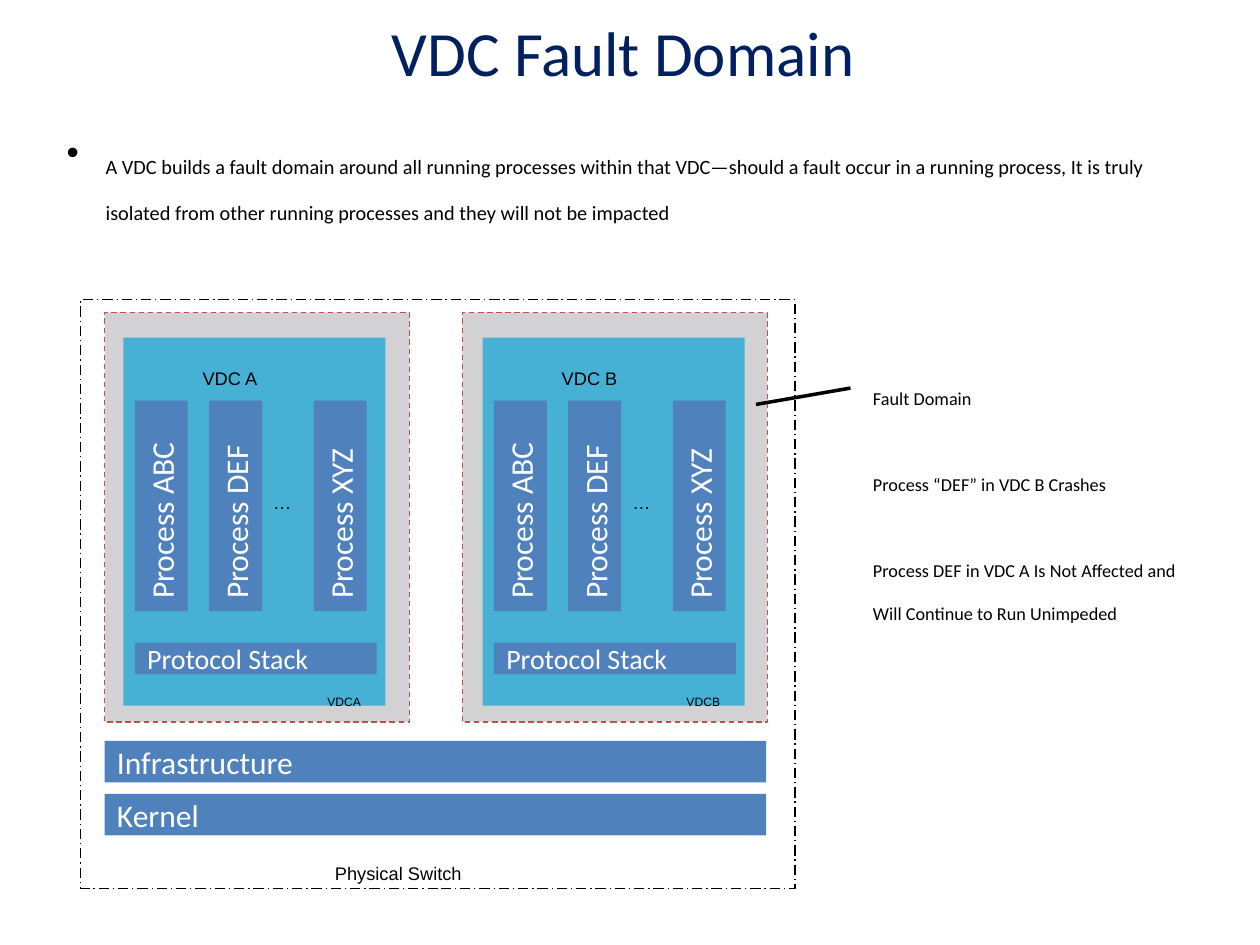
"""Build the VDC Fault Domain slide."""
from lxml import etree
from pptx import Presentation
from pptx.dml.color import RGBColor
from pptx.enum.dml import MSO_LINE
from pptx.enum.shapes import MSO_CONNECTOR, MSO_SHAPE
from pptx.enum.text import MSO_ANCHOR, PP_ALIGN
from pptx.oxml.ns import qn
from pptx.util import Inches, Pt

RECT, STRAIGHT = MSO_SHAPE.RECTANGLE, MSO_CONNECTOR.STRAIGHT
DASH, LONG_DASH_DOT = MSO_LINE.DASH, MSO_LINE.LONG_DASH_DOT
TOP, MIDDLE = MSO_ANCHOR.TOP, MSO_ANCHOR.MIDDLE
LEFT, CENTER = PP_ALIGN.LEFT, PP_ALIGN.CENTER
NAVY = RGBColor(0x00, 0x20, 0x60)
BLACK = RGBColor(0, 0, 0)
WHITE = RGBColor(0xFF, 0xFF, 0xFF)
BLUE = RGBColor(0x4F, 0x81, 0xBD)
CYAN = RGBColor(0x47, 0xB0, 0xD5)
GRAY = RGBColor(0xD2, 0xD2, 0xD4)
RED = RGBColor(0xC0, 0x50, 0x4D)

TITLE = "VDC Fault Domain"
BODY = ("A VDC builds a fault domain around all running processes within that VDC—"
        "should a fault occur in a running process, It is truly isolated from other "
        "running processes and they will not be impacted")
NOTES = ["Fault Domain", "Process “DEF” in VDC B Crashes",
         "Process DEF in VDC A Is Not Affected and Will Continue to Run Unimpeded"]
VDCS = [("A", 0.83, 0.98), ("B", 3.67, 3.83)]
PROCESSES = [("Process ABC", 0.09), ("Process DEF", 0.68), ("Process XYZ", 1.51)]
LAYERS = ["Infrastructure", "Kernel"]
PROCESS_LENGTH, PROCESS_THICKNESS, PROCESS_TOP = 1.67, 0.42, 3.18
LAYER_TOP, LAYER_PITCH = 5.88, 0.42
SUBSCRIPT = "-25000"
NOTE_GAP = 24.6

prs = Presentation()
prs.slide_width, prs.slide_height = Inches(10), Inches(7.5)
slide = prs.slides.add_slide(prs.slide_layouts[6])


def write(s, lines, size, font="Calibri", color=BLACK, anchor=TOP, align=LEFT, lowered=False):
    tf = s.text_frame
    tf.text = "\n".join(lines)
    tf.word_wrap = True
    tf.vertical_anchor = anchor
    for p in tf.paragraphs:
        p.alignment = align
        for r in p.runs:
            r.font.size, r.font.name = Pt(size), font
            r.font.color.rgb = color
            if lowered:
                r._r.get_or_add_rPr().set("baseline", SUBSCRIPT)
    return tf


def add_box(x, y, w, h, fill=None, line=None, dash=None):
    s = slide.shapes.add_shape(RECT, Inches(x), Inches(y), Inches(w), Inches(h))
    s.shadow.inherit = False
    if fill is None:
        s.fill.background()
    else:
        s.fill.solid()
        s.fill.fore_color.rgb = fill
    if line is None:
        s.line.fill.background()
    else:
        s.line.color.rgb = line
        s.line.width = Pt(0.75)
        s.line.dash_style = dash
    return s


def add_bar(text, x, y, w, h, size=18):
    s = add_box(x, y, w, h, BLUE)
    write(s, [text], size, color=WHITE, anchor=MIDDLE)
    return s


def add_text(lines, x, y, w, h, size, **style):
    s = slide.shapes.add_textbox(Inches(x), Inches(y), Inches(w), Inches(h))
    return write(s, lines, size, **style)


def add_label(text, x, y, w, h=0.4, size=18):
    add_text([text], x, y, w, h, size, font="Arial", lowered=True)


def add_vdc(name, x):
    add_box(x, 2.68, 2.08, 2.92, CYAN)
    add_bar("Protocol Stack", x + 0.09, 5.1, 1.92, 0.25, 16)
    add_label(f"VDC{name}", x + 1.52, 5.35, 0.66, 0.3, 12)
    add_label(f"VDC {name}", x + 0.53, 2.7, 0.97)
    inset = (PROCESS_LENGTH - PROCESS_THICKNESS) / 2
    for text, offset in PROCESSES:
        s = add_bar(text, x + offset - inset, PROCESS_TOP + inset,
                    PROCESS_LENGTH, PROCESS_THICKNESS)
        s.rotation = 270
    add_label("…", x + 1.09, 3.68, 0.45)


for _, domain_left, _ in VDCS:
    add_box(domain_left, 2.48, 2.42, 3.25, GRAY, RED, DASH)
add_text([TITLE], 0.25, 0.05, 9.39, 0.71, 36, color=NAVY, anchor=MIDDLE, align=CENTER)
add_box(0.64, 2.38, 5.67, 4.67, line=BLACK, dash=LONG_DASH_DOT)
for i, layer in enumerate(LAYERS):
    add_bar(layer, 0.83, LAYER_TOP + i * LAYER_PITCH, 5.25, 0.33)
add_label("Physical Switch", 2.56, 6.63, 1.94)
for name, _, panel_left in VDCS:
    add_vdc(name, panel_left)

pointer = slide.shapes.add_connector(STRAIGHT, Inches(6), Inches(3.21), Inches(6.75), Inches(3.08))
pointer.line.color.rgb = BLACK
pointer.line.width = Pt(2)
etree.SubElement(pointer._element.spPr, qn("a:effectLst"))

notes = add_text(NOTES, 6.83, 2.86, 2.68, 2.8, 18, lowered=True)
for p in notes.paragraphs[1:]:
    p.space_before = Pt(NOTE_GAP)

body = add_text([BODY], 0.43, 0.99, 8.78, 1.06, 20, lowered=True)
p = body.paragraphs[0]
p.line_spacing = 0.95
pPr = p._p.get_or_add_pPr()
pPr.set("marL", str(Inches(0.31)))
pPr.set("indent", str(-Inches(0.31)))
etree.SubElement(pPr, qn("a:buFont")).set("typeface", "Arial")
etree.SubElement(pPr, qn("a:buChar")).set("char", "•")

prs.save("out.pptx")
